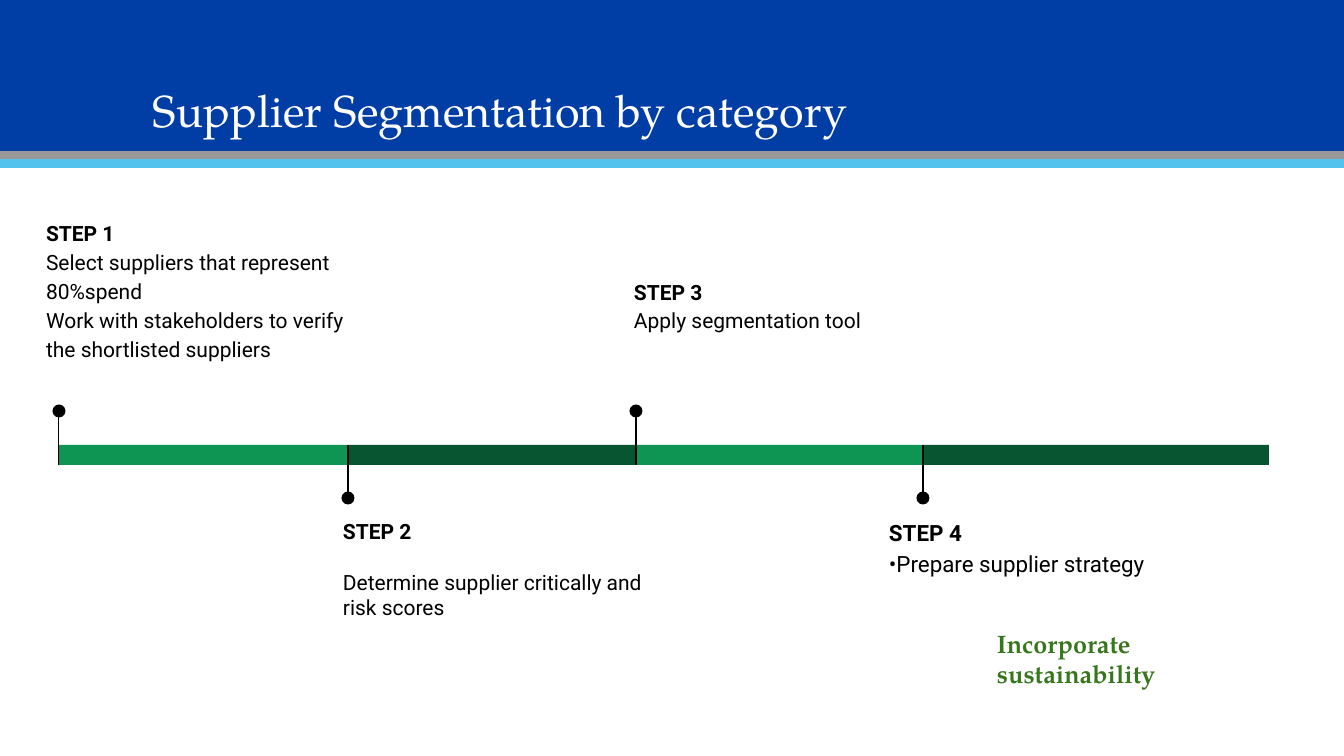
from lxml import etree
from pptx import Presentation
from pptx.dml.color import RGBColor
from pptx.enum.shapes import MSO_CONNECTOR as CONNECTOR, MSO_SHAPE as SHAPE
from pptx.enum.text import MSO_ANCHOR as ANCHOR, PP_ALIGN as ALIGN
from pptx.oxml.ns import qn
from pptx.util import Pt

PX = 12192000 / 1344  # EMU per px
COLORS = {
    "blue": "003DA5", "grey": "999999", "sky": "53C3EE",
    "green": "0E9453", "dark green": "085631", "leaf": "38761D",
    "black": "000000", "white": "FFFFFF",
}
SERIF, SANS = "TeX Gyre Pagella", "Roboto"


def add_block(kind, box, color):
    shape = slide.shapes.add_shape(kind, *[round(value * PX) for value in box])
    shape.shadow.inherit = False
    shape.fill.solid()
    shape.fill.fore_color.rgb = RGBColor.from_string(COLORS[color])
    shape.line.fill.background()


def write_text(shape, box, inset, lines, font_name, size, color):
    shape.left, shape.top, shape.width, shape.height = [round(value * PX) for value in box]
    frame = shape.text_frame
    frame.word_wrap = True
    frame.margin_left = frame.margin_right = round(inset[0] * PX)
    frame.margin_top = frame.margin_bottom = round(inset[1] * PX)
    frame.text = "\n".join(lines)
    for paragraph in frame.paragraphs:
        paragraph.alignment = ALIGN.LEFT
        for run in paragraph.runs:
            run.font.name = font_name
            run.font.size = Pt(size)
            run.font.color.rgb = RGBColor.from_string(COLORS[color])
    return frame


presentation = Presentation()
presentation.slide_width, presentation.slide_height = round(1344 * PX), round(756 * PX)
slide = presentation.slides.add_slide(presentation.slide_layouts[5])

# Header bands, with the title in front of them
for top, height, color in [(0, 151, "blue"), (151, 9, "grey"), (159, 9, "sky")]:
    add_block(SHAPE.RECTANGLE, (0, top, 1344, height), color)
title = slide.shapes.title
slide.shapes._spTree.append(title._element)
title_frame = write_text(title, (143, 28, 1058, 114), (10, 5),
                         ["Supplier Segmentation by category"], SERIF, 32, "white")
title_frame.vertical_anchor = ANCHOR.BOTTOM
title_frame.paragraphs[0].line_spacing = 0.9

# Closing remark
remark = slide.shapes.add_textbox(0, 0, 0, 0)
remark_frame = write_text(remark, (987, 623, 215, 72), (10, 5),
                          ["Incorporate sustainability"], SERIF, 18, "leaf")
remark_frame.paragraphs[0].runs[0].font.bold = True

# Timeline: text box, size, heading spacing, body spacing, gap under heading, lines
steps = [
    ((33, 204, 340, 153), 15, 1.15, 1.15, 0,
     ["Select suppliers that represent 80%spend",
      "Work with stakeholders to verify the shortlisted suppliers"]),
    ((330, 506, 332, 139), 15, 1, 1, 18,
     ["Determine supplier critically and risk scores"]),
    ((621, 266, 332, 139), 15, 1, 1.15, 0, ["Apply segmentation tool"]),
    ((876, 506, 332, 139), 16, 1, 1.15, 0, ["•Prepare supplier strategy"]),
]
edges = [59, 348, 636, 923, 1269]
BAR_TOP, BAR_HEIGHT, DOT = 445, 20, 13

for index, (box, size, heading_spacing, body_spacing, gap, body) in enumerate(steps):
    left, right = edges[index:index + 2]
    above = index % 2 == 0
    add_block(SHAPE.RECTANGLE, (left, BAR_TOP, right - left, BAR_HEIGHT),
              "green" if above else "dark green")

    # Pin: a line across the bar, ending in a dot
    dot_middle = 411 if above else 498
    bar_end = BAR_TOP + BAR_HEIGHT if above else BAR_TOP
    pin = slide.shapes.add_connector(
        CONNECTOR.STRAIGHT,
        *[round(value * PX) for value in (left, dot_middle, left, bar_end)])
    pin.line.color.rgb = RGBColor.from_string(COLORS["black"])
    pin.line.width = Pt(0.75)
    etree.SubElement(pin._element.spPr, qn("a:effectLst"))
    add_block(SHAPE.OVAL, (left - DOT / 2, dot_middle - DOT / 2, DOT, DOT), "black")

    # Step text
    label = slide.shapes.add_textbox(0, 0, 0, 0)
    frame = write_text(label, box, (13, 13), [f"STEP {index + 1}", *body],
                       SANS, size, "black")
    heading, *details = frame.paragraphs
    heading.line_spacing = heading_spacing
    heading.space_after = Pt(gap)
    heading.runs[0].font.bold = True
    for paragraph in details:
        paragraph.line_spacing = body_spacing

presentation.save("out.pptx")
